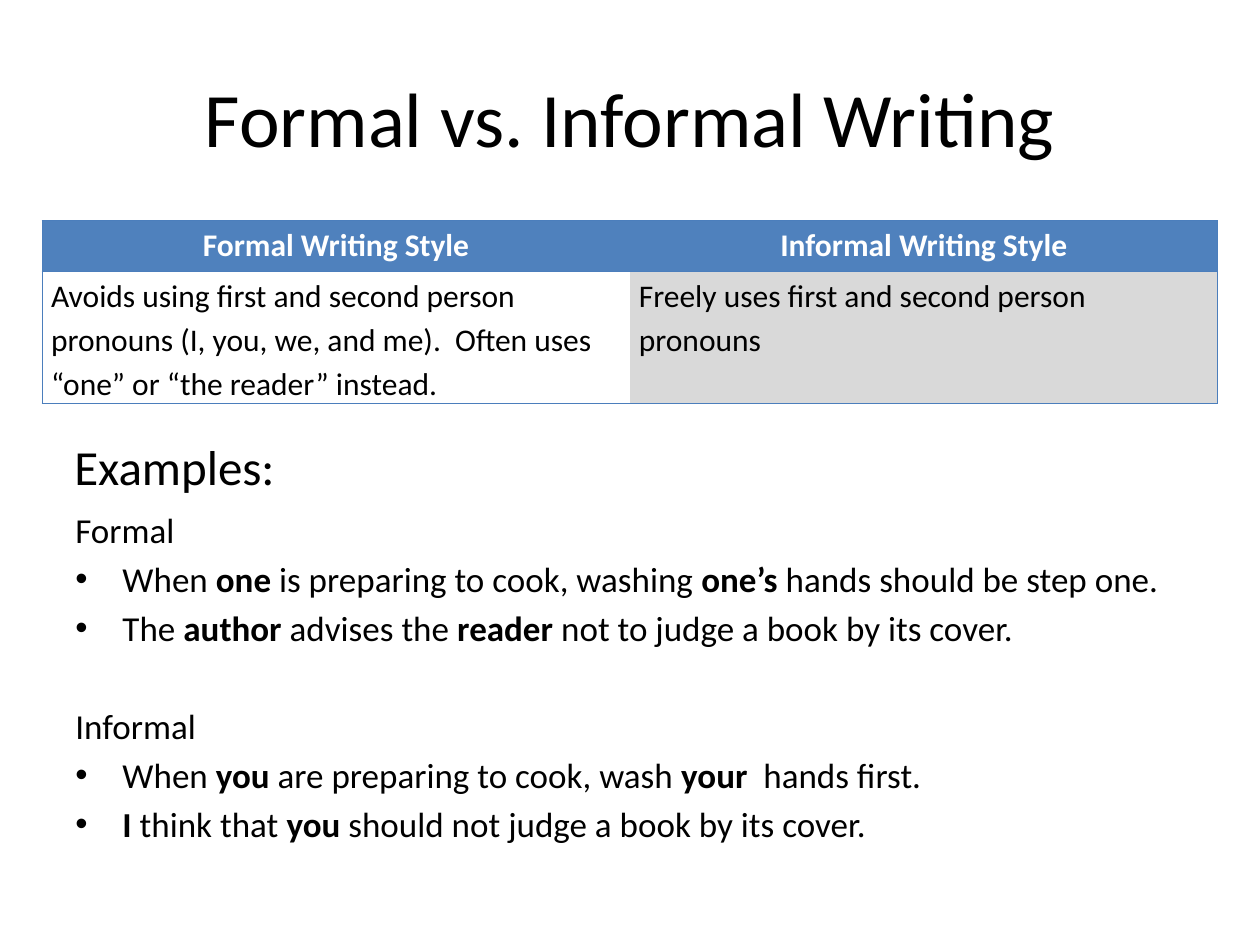
from lxml import etree
from pptx import Presentation
from pptx.dml.color import RGBColor
from pptx.enum.text import MSO_ANCHOR, PP_ALIGN
from pptx.oxml.ns import qn
from pptx.util import Cm, Pt

LEFT, CENTER = PP_ALIGN.LEFT, PP_ALIGN.CENTER
TOP, MIDDLE = MSO_ANCHOR.TOP, MSO_ANCHOR.MIDDLE
HUES = {"ink": "000000", "head": "4F81BD", "edge": "4B7EBC",
        "pale": "FFFFFF", "gray": "D9D9D9"}
ROWS = [
    ["Formal Writing Style", "Informal Writing Style"],
    ["Avoids using first and second person pronouns (I, you, we, and me).  "
     "Often uses “one” or “the reader” instead.",
     "Freely uses first and second person pronouns"],
]
GROUPS = {
    "Formal": ["When *one* is preparing to cook, washing *one’s* hands should be step one.",
               "The *author* advises the *reader* not to judge a book by its cover."],
    "Informal": ["When *you* are preparing to cook, wash *your*  hands first.",
                 "*I* think that *you* should not judge a book by its cover."],
}


class Page:
    """Holds the style and the current slide."""

    def __init__(self, deck, font="Calibri"):
        self.slide = deck.slides.add_slide(deck.slide_layouts[6])
        self.font = font

    def style(self, run, size, hue="ink", bold=False):
        run.font.name = self.font
        run.font.size = Pt(size)
        run.font.bold = bold
        run.font.color.rgb = RGBColor.from_string(HUES[hue])

    def frame(self, x, y, w, h, anchor=TOP):
        box = self.slide.shapes.add_textbox(Cm(x), Cm(y), Cm(w), Cm(h))
        box.text_frame.word_wrap = True
        box.text_frame.vertical_anchor = anchor
        return box.text_frame

    def label(self, text, x, y, w, h, size, align=LEFT, anchor=TOP):
        frame = self.frame(x, y, w, h, anchor)
        frame.text = text
        para = frame.paragraphs[0]
        para.alignment = align
        self.style(para.runs[0], size)

    def bullet(self, para):
        props = para._p.get_or_add_pPr()
        props.set("marL", str(Cm(0.95)))
        props.set("indent", str(-Cm(0.95)))
        etree.SubElement(props, qn("a:buFont"), typeface="Arial")
        etree.SubElement(props, qn("a:buChar"), char="•")

    def groups(self, groups, x, y, w, h, size):
        frame = self.frame(x, y, w, h)
        para = frame.paragraphs[0]
        for num, (name, items) in enumerate(groups.items()):
            if num:
                para = frame.add_paragraph()
                para.space_before = Pt(32)
            para.text = name
            self.style(para.runs[0], size)
            for item in items:
                para = frame.add_paragraph()
                self.bullet(para)
                para.space_before = Pt(4)
                for part, text in enumerate(item.split("*")):
                    if text:
                        run = para.add_run()
                        run.text = text
                        self.style(run, size, bold=part % 2 == 1)

    def border(self, cell, sides):
        props = cell._tc.get_or_add_tcPr()
        for side in "LRTB":
            line = etree.SubElement(props, qn("a:ln" + side), w=str(Pt(0.75)))
            if side in sides:
                fill = etree.SubElement(line, qn("a:solidFill"))
                etree.SubElement(fill, qn("a:srgbClr"), val=HUES["edge"])
            else:
                etree.SubElement(line, qn("a:noFill"))

    def cell(self, cell, text, head, fill, sides):
        cell.margin_left = cell.margin_right = Cm(0.18)
        cell.margin_top = cell.margin_bottom = 0
        self.border(cell, sides)
        if fill:
            cell.fill.solid()
            cell.fill.fore_color.rgb = RGBColor.from_string(HUES[fill])
        else:
            cell.fill.background()
        cell.text_frame.text = text
        para = cell.text_frame.paragraphs[0]
        para.alignment = CENTER if head else LEFT
        para.line_spacing = 1.15
        self.style(para.runs[0], 18, "pale" if head else "ink", head)

    def table(self, rows, x, y, w, highs):
        shape = self.slide.shapes.add_table(
            len(rows), len(rows[0]), Cm(x), Cm(y), Cm(w), Cm(sum(highs)))
        grid = shape.table
        grid.first_row = grid.horz_banding = False
        for r, row in enumerate(rows):
            grid.rows[r].height = Cm(highs[r])
            for c, text in enumerate(row):
                head = r == 0
                fill = "head" if head else "gray" if c else None
                sides = ("R" if c else "L") + ("T" if head else "TB")
                self.cell(grid.cell(r, c), text, head, fill, sides)


def main():
    deck = Presentation()
    deck.slide_width, deck.slide_height = Cm(25.4), Cm(19.05)
    page = Page(deck)
    page.label("Formal vs. Informal Writing", 1.27, 0.76, 22.86, 3.18, 44, CENTER, MIDDLE)
    page.table(ROWS, 0.85, 4.45, 23.7, [1.02, 2.67])
    page.groups(GROUPS, 1.27, 10.12, 22.86, 8.1, 20)
    page.label("Examples:", 1.25, 8.67, 10.36, 1.45, 28)
    deck.save("out.pptx")


if __name__ == "__main__":
    main()
